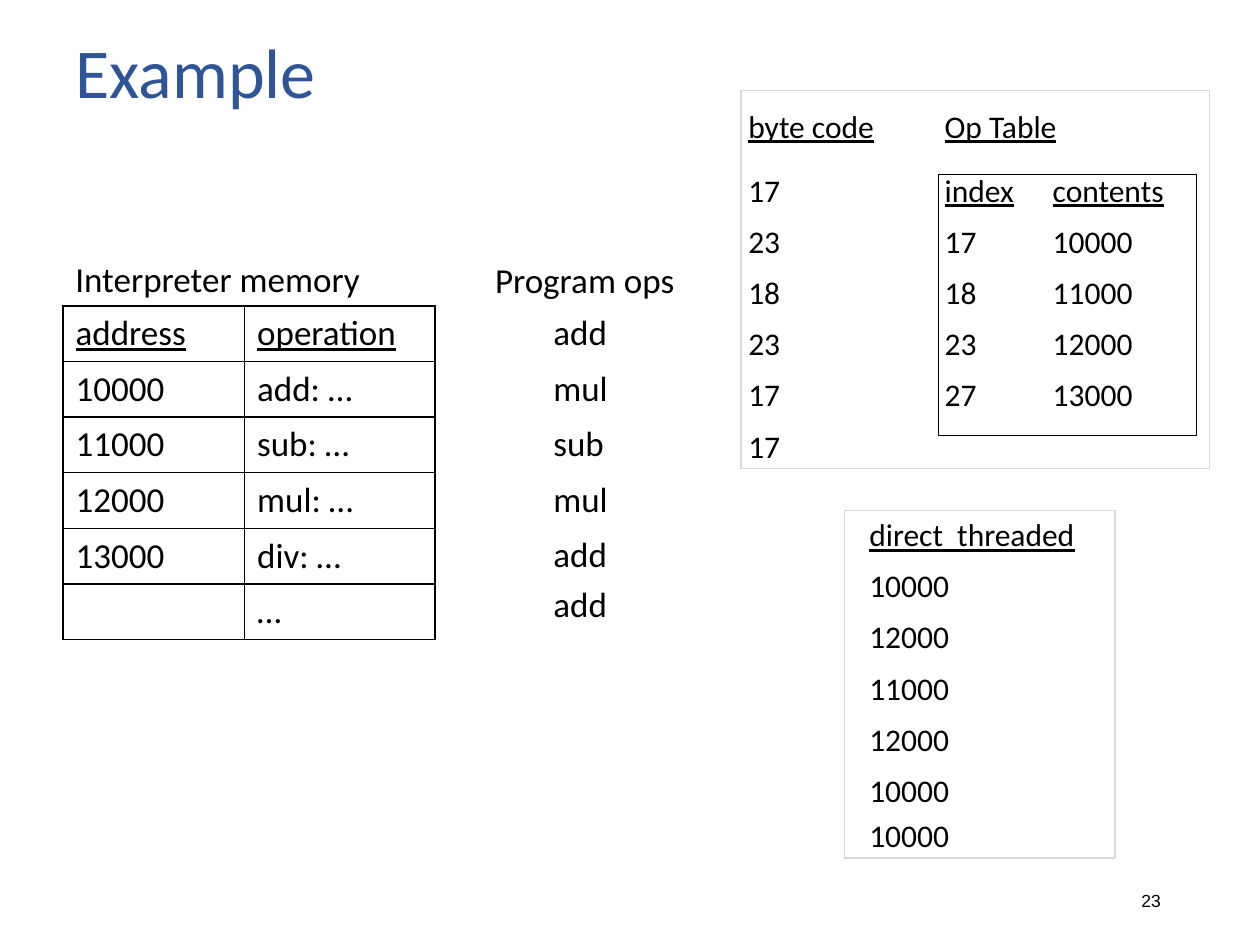
"""Build the slide that compares byte code with direct threaded code."""
from lxml.etree import SubElement
from pptx import Presentation
from pptx.dml.color import RGBColor
from pptx.enum.shapes import MSO_SHAPE
from pptx.enum.text import MSO_ANCHOR, MSO_AUTO_SIZE, PP_ALIGN
from pptx.oxml import parse_xml
from pptx.oxml.ns import nsdecls, qn
from pptx.util import Cm, Pt

BLACK = RGBColor(0x00, 0x00, 0x00)
BLUE = RGBColor(0x2F, 0x55, 0x97)
GREY = RGBColor(0xD9, 0xD9, 0xD9)
NO_STYLE = "{2D5ABB26-0587-4C30-8999-92F81FD0307C}"
HEADINGS = {"address", "operation", "byte code", "Op Table", "index", "contents", "direct  threaded"}


def write_text(frame, text, size=20, font="Calibri", color=BLACK, align=PP_ALIGN.LEFT, underline=False):
    frame.text = text
    for position, para in enumerate(frame.paragraphs):
        para.alignment = align
        if position:
            para.space_before = Pt(size * 0.2)
        for span in para.runs:
            span.font.size = Pt(size)
            span.font.name = font
            span.font.color.rgb = color
            span.font.underline = underline


def add_grid(page, left, top, widths, heights, rows, size=20, bordered=False):
    frame = page.shapes.add_table(len(heights), len(widths), Cm(left), Cm(top), Cm(sum(widths)), Cm(sum(heights)))
    table = frame.table
    table.first_row = table.horz_banding = False
    frame._element.find(".//" + qn("a:tableStyleId")).text = NO_STYLE
    for column, width in zip(table.columns, widths):
        column.width = Cm(width)
    for row, height, texts in zip(table.rows, heights, rows):
        row.height = Cm(height)
        for cell, text in zip(row.cells, texts):
            cell.vertical_anchor = MSO_ANCHOR.MIDDLE
            if text:
                write_text(cell.text_frame, text, size=size, underline=text in HEADINGS)
            if bordered:
                for side in ("lnL", "lnR", "lnT", "lnB"):
                    cell._tc.get_or_add_tcPr().append(parse_xml(
                        f'<a:{side} {nsdecls("a")} w="12700"><a:solidFill>'
                        f'<a:srgbClr val="{BLACK}"/></a:solidFill></a:{side}>'))
            cell.fill.background()
    return table


deck = Presentation()
deck.slide_width, deck.slide_height = Cm(25.4), Cm(19.05)
page = deck.slides.add_slide(deck.slide_layouts[5])

title = page.shapes.title
title.left, title.top, title.width, title.height = Cm(1.27), Cm(0.33), Cm(20.96), Cm(2.41)
write_text(title.text_frame, "Example", size=40, color=BLUE)
title.text_frame.vertical_anchor = MSO_ANCHOR.MIDDLE
title.text_frame.auto_size = MSO_AUTO_SIZE.NONE
title.text_frame.paragraphs[0].line_spacing = 0.9

add_grid(page, 1.27, 6.17, [3.66, 3.84], [1.12] * 6, [
    ("address", "operation"),
    ("10000", "add: …"),
    ("11000", "sub: …"),
    ("12000", "mul: …"),
    ("13000", "div: …"),
    ("", "…"),
], bordered=True)

op_table = add_grid(page, 14.83, 1.78, [3.35, 0.58, 2.18, 3.53], [1.57] + [1.03] * 6, [
    ("byte code", "", "Op Table", ""),
    ("17", "", "index", "contents"),
    ("23", "", "17", "10000"),
    ("18", "", "18", "11000"),
    ("23", "", "23", "12000"),
    ("17", "", "27", "13000"),
    ("17", "", "", ""),
], size=18)
op_table.cell(0, 1).merge(op_table.cell(5, 1))
op_table.cell(0, 2).merge(op_table.cell(0, 3))

threaded = ["direct  threaded", "10000", "12000", "11000", "12000", "10000\n10000"]
add_grid(page, 17.27, 10.29, [5.21], [1.03] * 5 + [1.93], [(text,) for text in threaded], size=18)

program = ["add", "mul", "sub", "mul", "add\nadd"]
add_grid(page, 10.9, 6.17, [2.13], [1.1] * 4 + [2.1], [(text,) for text in program])

for left, top, width, height, color, weight in [
    (14.94, 1.83, 9.45, 7.62, GREY, 0.75),
    (17.02, 10.29, 5.46, 7.01, GREY, 0.75),
    (18.92, 3.51, 5.21, 5.28, BLACK, 0.5),
]:
    box = page.shapes.add_shape(MSO_SHAPE.RECTANGLE, Cm(left), Cm(top), Cm(width), Cm(height))
    box.shadow.inherit = False
    box.fill.background()
    box.line.color.rgb = color
    box.line.width = Pt(weight)

for text, left, top, width, height, wrap, style in [
    ("Interpreter memory", 1.27, 5.05, 6.3, 1.12, False, {}),
    ("Program ops", 9.73, 5.08, 4.17, 1.12, False, {}),
    ("23", 17.93, 17.65, 5.72, 1.02, True, {"size": 10, "font": "Arial", "align": PP_ALIGN.RIGHT}),
]:
    box = page.shapes.add_textbox(Cm(left), Cm(top), Cm(width), Cm(height))
    box.text_frame.word_wrap = wrap
    box.text_frame.vertical_anchor = MSO_ANCHOR.MIDDLE
    write_text(box.text_frame, text, **style)

deck.save("out.pptx")
